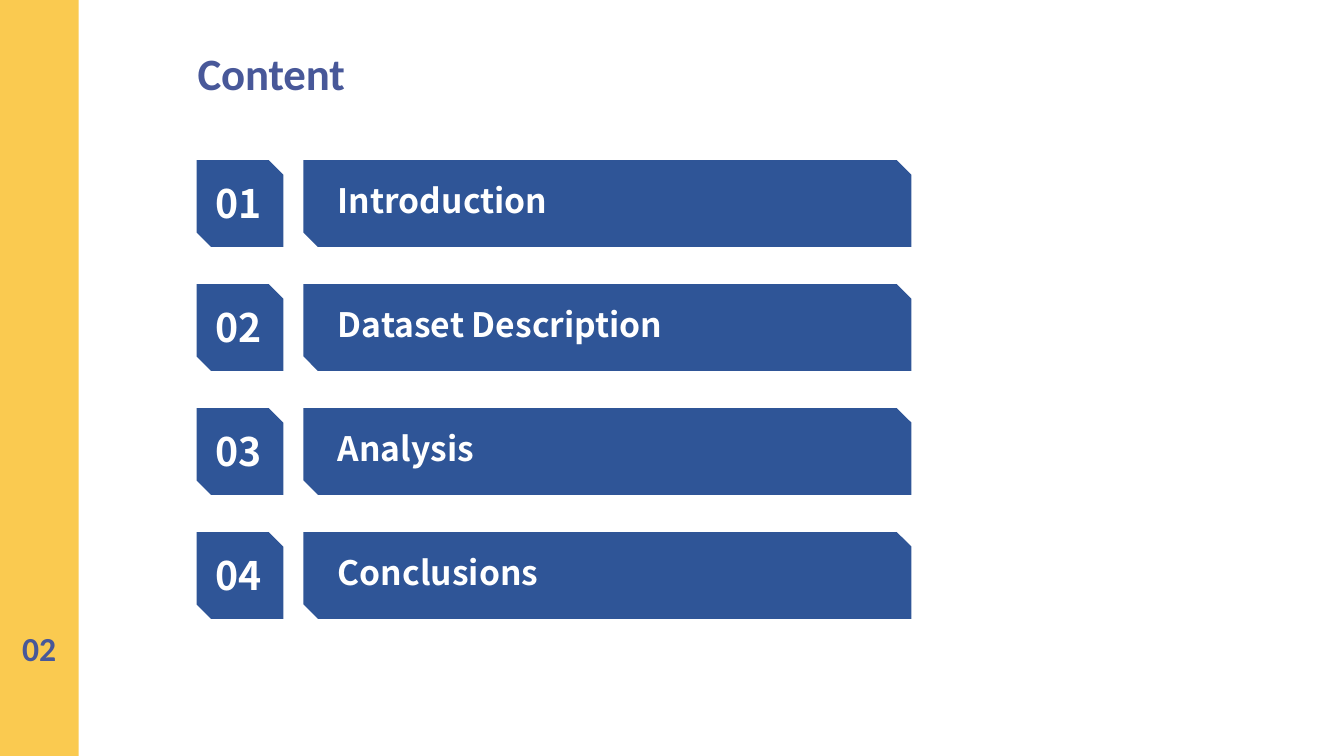
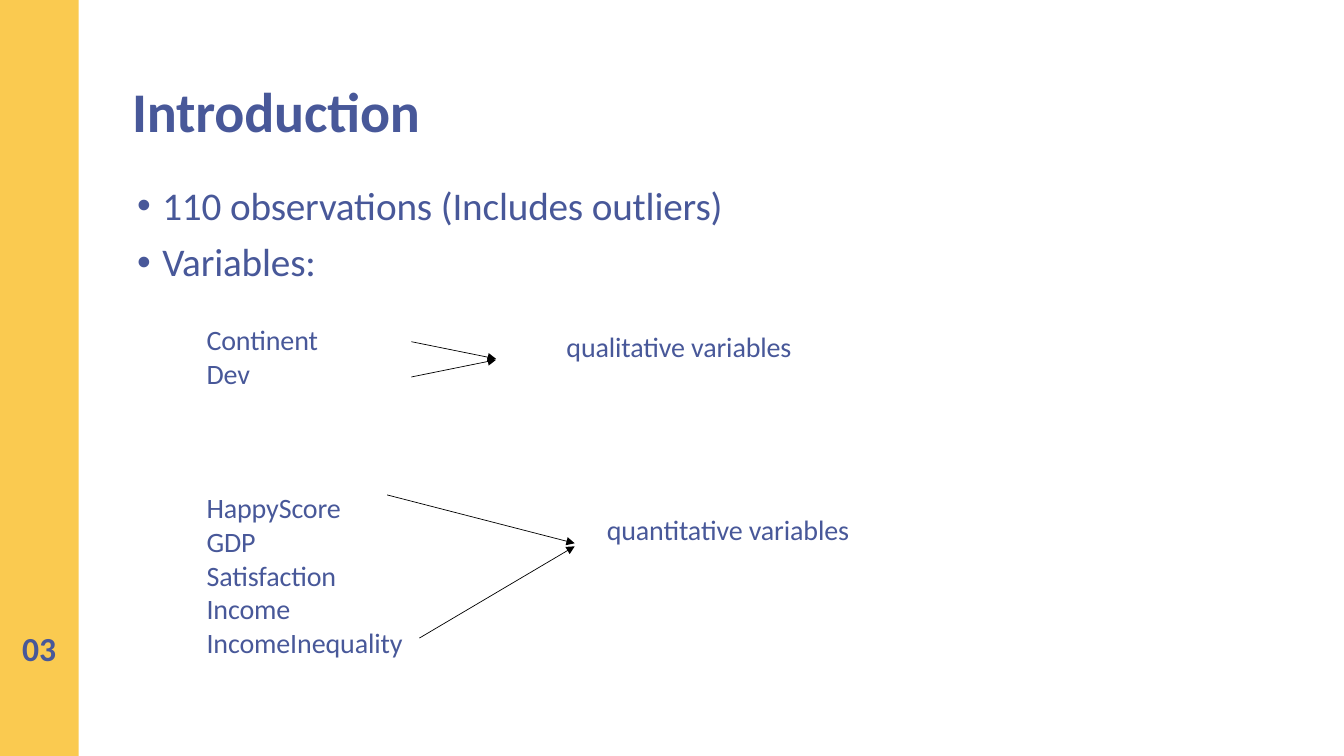
"""Build a contents slide and an introduction slide."""
from dataclasses import dataclass

from lxml import etree
from pptx import Presentation
from pptx.dml.color import RGBColor
from pptx.enum.shapes import MSO_CONNECTOR, MSO_SHAPE
from pptx.enum.text import MSO_ANCHOR, MSO_AUTO_SIZE, PP_ALIGN
from pptx.oxml.ns import qn
from pptx.util import Inches, Pt

RECTANGLE = MSO_SHAPE.RECTANGLE
SNIPPED = MSO_SHAPE.SNIP_2_DIAG_RECTANGLE
STRAIGHT = MSO_CONNECTOR.STRAIGHT
TOP, MIDDLE = MSO_ANCHOR.TOP, MSO_ANCHOR.MIDDLE
LEFT = PP_ALIGN.LEFT
NO_AUTOFIT = MSO_AUTO_SIZE.NONE

YELLOW, INDIGO, BLUE = "FACA50", "485899", "2F5597"
WHITE, BLACK = "FFFFFF", "000000"
TITLE_LAYOUT, CONTENT_LAYOUT = 5, 1
DEFAULT_INSETS = (0.1, 0.05, 0.1, 0.05)
TIGHT_INSETS = (0, 0.01, 0, 0)


@dataclass(frozen=True)
class TextStyle:
    size: float
    font: str = "Calibri"
    color: str = INDIGO
    bold: bool = False
    spacing: int = -10


@dataclass(frozen=True)
class Box:
    left: float
    top: float
    width: float
    height: float

    def lengths(self):
        return [Inches(value) for value in (self.left, self.top, self.width, self.height)]


@dataclass(frozen=True)
class Arrow:
    start: tuple[float, float]
    end: tuple[float, float]


@dataclass(frozen=True)
class VariableGroup:
    names: tuple[str, ...]
    names_box: Box
    label: str
    label_box: Box
    arrows: tuple[Arrow, ...]


CONTENT_TITLE = TextStyle(32, bold=True)
INTRODUCTION_TITLE = TextStyle(40, bold=True)
PAGE_NUMBER = TextStyle(24, bold=True)
BULLET = TextStyle(28)
VARIABLE = TextStyle(20)
ROW_NUMBER = TextStyle(28, "Noto Sans CJK SC", WHITE, True, 0)
ROW_LABEL = TextStyle(24, "Noto Sans CJK SC", WHITE, True, 0)

TOPICS = ("Introduction", "Dataset Description", "Analysis", "Conclusions")
ROW_TOP, ROW_PITCH, ROW_HEIGHT = 1.59, 1.23, 0.86
BULLETS = ("110 observations (Includes outliers)", "Variables:")
GROUPS = (
    VariableGroup(
        ("Continent", "Dev"), Box(1.95, 3.15, 2.22, 0.78),
        "qualitative variables", Box(5.52, 3.22, 3.24, 0.44),
        (Arrow((4.08, 3.39), (4.92, 3.56)), Arrow((4.08, 3.74), (4.92, 3.57))),
    ),
    VariableGroup(
        ("HappyScore", "GDP", "Satisfaction", "Income", "IncomeInequality"),
        Box(1.95, 4.82, 2.22, 1.8),
        "quantitative variables", Box(5.92, 5.04, 3.24, 0.44),
        (Arrow((3.84, 4.91), (5.7, 5.39)), Arrow((4.16, 6.33), (5.7, 5.42))),
    ),
)


def rgb(color: str) -> RGBColor:
    return RGBColor.from_string(color)


def write(shape, lines, style: TextStyle, insets=DEFAULT_INSETS, anchor=TOP) -> None:
    frame = shape.text_frame
    frame.text = "\n".join(lines)
    frame.word_wrap = True
    frame.auto_size = NO_AUTOFIT
    frame.vertical_anchor = anchor
    (frame.margin_left, frame.margin_top,
     frame.margin_right, frame.margin_bottom) = [Inches(inset) for inset in insets]
    for paragraph in frame.paragraphs:
        paragraph.alignment = LEFT
        for run in paragraph.runs:
            run.font.name = style.font
            run.font.size = Pt(style.size)
            run.font.bold = style.bold
            run.font.color.rgb = rgb(style.color)
            run.font._element.set("spc", str(style.spacing))


def place(shape, box: Box) -> None:
    shape.left, shape.top, shape.width, shape.height = box.lengths()


def add_filled(slide, preset, box: Box, color: str):
    shape = slide.shapes.add_shape(preset, *box.lengths())
    shape.shadow.inherit = False
    shape.fill.solid()
    shape.fill.fore_color.rgb = rgb(color)
    shape.line.fill.background()
    return shape


def add_text(slide, box: Box, lines, style: TextStyle, insets=DEFAULT_INSETS, anchor=TOP) -> None:
    write(slide.shapes.add_textbox(*box.lengths()), lines, style, insets, anchor)


def add_arrow(slide, arrow: Arrow) -> None:
    points = [Inches(value) for value in (*arrow.start, *arrow.end)]
    connector = slide.shapes.add_connector(STRAIGHT, *points)
    connector.line.color.rgb = rgb(BLACK)
    connector.line.width = Pt(0.5)
    etree.SubElement(connector.line._get_or_add_ln(), qn("a:tailEnd"), type="triangle")
    etree.SubElement(connector._element.spPr, qn("a:effectLst"))


def add_page(presentation, layout: int, number: int, title: str,
             title_box: Box, style: TextStyle, insets=DEFAULT_INSETS):
    slide = presentation.slides.add_slide(presentation.slide_layouts[layout])
    place(slide.shapes.title, title_box)
    write(slide.shapes.title, [title], style, insets, MIDDLE)
    slide.shapes.title.text_frame.paragraphs[0].line_spacing = 0.9
    add_filled(slide, RECTANGLE, Box(0, 0, 0.78, 7.5), YELLOW)
    add_text(slide, Box(0.22, 6.21, 0.4, 0.42), [f"{number:02}"], PAGE_NUMBER, TIGHT_INSETS, MIDDLE)
    return slide


def build_content(presentation) -> None:
    slide = add_page(presentation, TITLE_LAYOUT, 2, "Content",
                     Box(1.96, 0.47, 3.66, 0.55), CONTENT_TITLE, TIGHT_INSETS)
    for index, topic in enumerate(TOPICS):
        top = ROW_TOP + index * ROW_PITCH
        tile = add_filled(slide, SNIPPED, Box(1.95, top, ROW_HEIGHT, ROW_HEIGHT), BLUE)
        write(tile, [f"{index + 1:02}"], ROW_NUMBER, (0.12, 0.12, 0, 0))
        bar = add_filled(slide, SNIPPED, Box(3.01, top, 6.03, ROW_HEIGHT), BLUE)
        write(bar, [topic], ROW_LABEL, (0.27, 0.12, 0, 0))


def build_introduction(presentation) -> None:
    slide = add_page(presentation, CONTENT_LAYOUT, 3, "Introduction",
                     Box(1.21, 0.59, 11.5, 1.08), INTRODUCTION_TITLE)
    body = slide.placeholders[1]
    place(body, Box(1.26, 1.8, 10.81, 1.2))
    write(body, BULLETS, BULLET)
    for paragraph in body.text_frame.paragraphs:
        paragraph.line_spacing = 0.9
        paragraph.space_before = Pt(10)
        properties = paragraph._p.get_or_add_pPr()
        properties.set("marL", str(Inches(0.25)))
        properties.set("indent", str(-Inches(0.25)))
        etree.SubElement(properties, qn("a:buChar"), char="•")
    for group in GROUPS:
        add_text(slide, group.names_box, group.names, VARIABLE)
        add_text(slide, group.label_box, [group.label], VARIABLE)
        for arrow in group.arrows:
            add_arrow(slide, arrow)


def main() -> None:
    presentation = Presentation()
    presentation.slide_width = Inches(13.33)
    presentation.slide_height = Inches(7.5)
    build_content(presentation)
    build_introduction(presentation)
    presentation.save("out.pptx")


if __name__ == "__main__":
    main()
